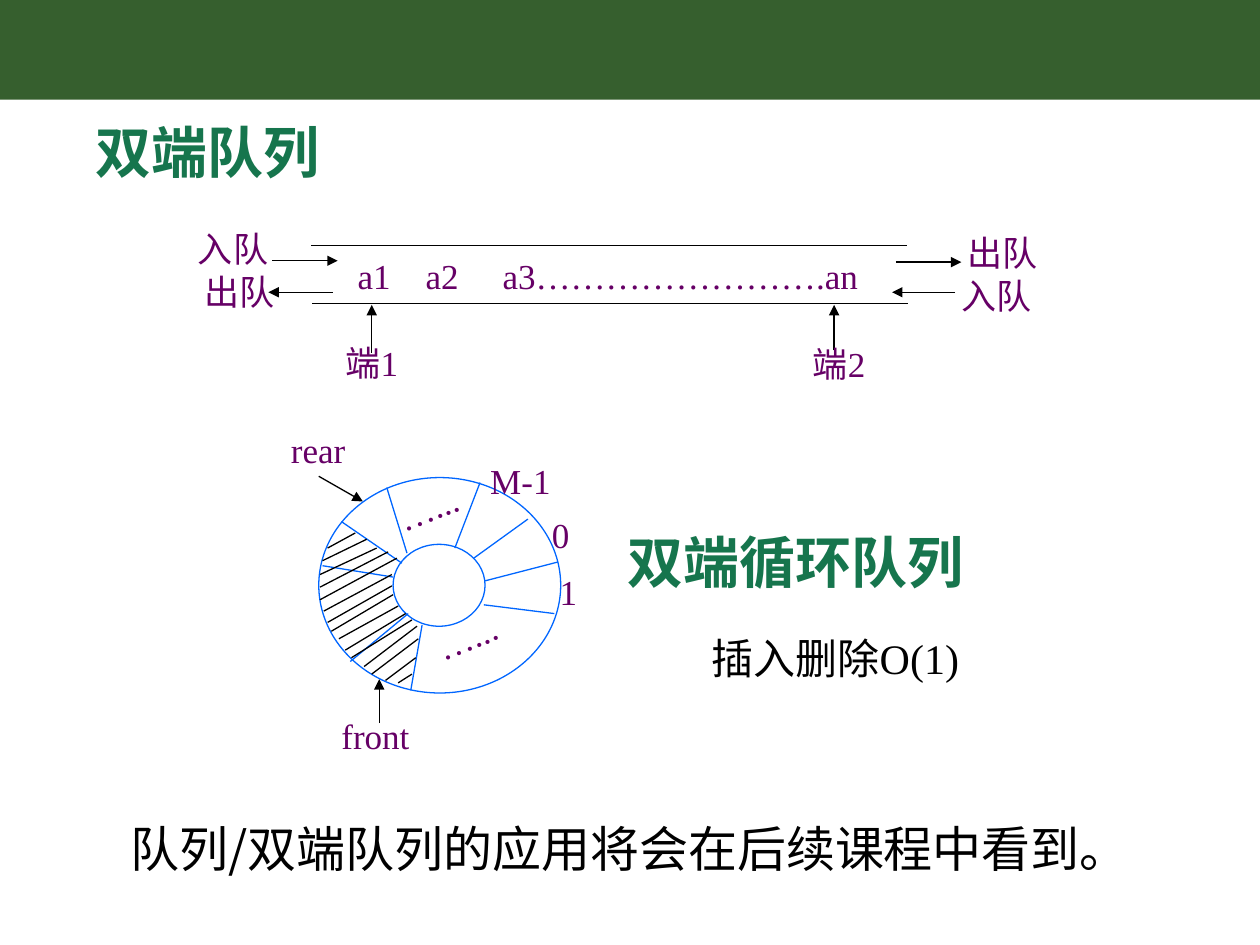
"""Build the slide on double-ended and circular double-ended queues."""
import pptx
import pptx.dml.color
import pptx.enum.shapes
import pptx.enum.text
import pptx.oxml.ns
import pptx.util
from pptx.util import Inches

RGBColor = pptx.dml.color.RGBColor
BAND_GREEN = RGBColor(0x36, 0x5F, 0x2E)
HEADING_GREEN = RGBColor(0x16, 0x75, 0x4D)
PURPLE = RGBColor(0x66, 0x00, 0x66)
BLUE = RGBColor(0x00, 0x66, 0xFF)
BLACK = RGBColor(0x00, 0x00, 0x00)
WHITE = RGBColor(0xFF, 0xFF, 0xFF)
SANS = "Noto Sans CJK SC"
SERIF = "Times New Roman"
SHAPES = pptx.enum.shapes.MSO_SHAPE
ALIGN = pptx.enum.text.PP_ALIGN
ANCHOR = pptx.enum.text.MSO_ANCHOR
AUTO_SIZE = pptx.enum.text.MSO_AUTO_SIZE
qn = pptx.oxml.ns.qn


def write(box, text, size, color, font=SERIF, bold=False, align=ALIGN.LEFT, anchor=ANCHOR.TOP, wrap=True):
    frame = box.text_frame
    frame.text = text
    frame.word_wrap = wrap
    frame.auto_size = AUTO_SIZE.NONE if wrap else AUTO_SIZE.SHAPE_TO_FIT_TEXT
    frame.vertical_anchor = anchor
    paragraph = frame.paragraphs[0]
    paragraph.alignment = align
    for run in paragraph.runs:
        run.font.size = pptx.util.Pt(size)
        run.font.name = font
        run.font.bold = bold
        run.font.color.rgb = color
        east_asian = run.font._element.makeelement(qn("a:ea"), {"typeface": SANS})
        run.font._element.find(qn("a:latin")).addnext(east_asian)


def draw_line(x1, y1, x2, y2, color=BLACK, arrow=False):
    line = slide.shapes.add_connector(
        pptx.enum.shapes.MSO_CONNECTOR.STRAIGHT, Inches(x1), Inches(y1), Inches(x2), Inches(y2))
    line.line.color.rgb = color
    line.line.width = pptx.util.Pt(0.75)
    properties = line._element.spPr
    if arrow:
        outline = line.line._get_or_add_ln()
        outline.append(outline.makeelement(qn("a:tailEnd"), {"type": "triangle"}))
    properties.append(properties.makeelement(qn("a:effectLst"), {}))


deck = pptx.Presentation()
deck.slide_width = Inches(10)
deck.slide_height = Inches(7.5)
slide = deck.slides.add_slide(deck.slide_layouts[5])

band = slide.shapes.add_shape(SHAPES.RECTANGLE, 0, 0, Inches(10), Inches(0.79))
band.shadow.inherit = False
band.fill.solid()
band.fill.fore_color.rgb = BAND_GREEN
band.line.fill.background()

deque_heading = slide.shapes.title
deque_heading.left, deque_heading.top = Inches(0.54), Inches(0.88)
deque_heading.width, deque_heading.height = Inches(3.07), Inches(0.74)
circular_heading = slide.shapes.add_textbox(Inches(4.76), Inches(4.14), Inches(4.12), Inches(0.74))
for heading, text in ((deque_heading, "双端队列"), (circular_heading, "双端循环队列")):
    write(heading, text, 32, HEADING_GREEN, SANS, bold=True)
    heading.text_frame.margin_left = Inches(0.22)

draw_line(2.47, 1.95, 7.2, 1.95)
draw_line(2.48, 2.41, 7.21, 2.41)
queue_items = slide.shapes.add_textbox(Inches(2.74), Inches(1.97), Inches(4.4), Inches(0.43))
write(queue_items, "a1\ta2\ta3…………………….an", 20, PURPLE, anchor=ANCHOR.MIDDLE)
item_properties = queue_items.text_frame.paragraphs[0]._p.get_or_add_pPr()
tab_stops = item_properties.makeelement(qn("a:tabLst"), {})
item_properties.append(tab_stops)
for position in (0.54, 1.15):
    tab_stops.append(tab_stops.makeelement(qn("a:tab"), {"pos": str(Inches(position)), "algn": "l"}))

arrows = [
    (2.95, 2.8, 2.95, 2.42), (6.62, 2.78, 6.62, 2.42),
    (7.58, 2.32, 7.08, 2.32), (7.11, 2.08, 7.63, 2.08),
    (2.64, 2.32, 2.13, 2.32), (2.16, 2.07, 2.68, 2.07),
    (3.01, 5.74, 3.01, 5.39), (2.53, 3.78, 2.88, 3.98),
]
for arrow_ends in arrows:
    draw_line(*arrow_ends, arrow=True)

rings = [(2.53, 3.79, 1.92, 1.71), (3.12, 4.32, 0.73, 0.65)]
for ring_bounds in rings:
    ring = slide.shapes.add_shape(SHAPES.OVAL, *map(Inches, ring_bounds))
    ring.shadow.inherit = False
    ring.fill.background()
    ring.line.color.rgb = BLUE
    ring.line.width = pptx.util.Pt(0.75)

cell_dividers = [
    (3.07, 3.87, 3.23, 4.39), (3.35, 4.96, 3.26, 5.48), (3.24, 4.87, 2.78, 5.25),
    (3.19, 4.47, 2.71, 4.14), (3.81, 3.83, 3.61, 4.35), (3.76, 4.43, 4.19, 4.12),
    (3.85, 4.61, 4.43, 4.46), (3.84, 4.8, 4.4, 4.87), (3.12, 4.58, 2.56, 4.49),
]
for divider in cell_dividers:
    draw_line(*divider, color=BLUE)

hatching = [
    (2.6, 4.35, 2.82, 4.23), (2.56, 4.45, 2.91, 4.28), (2.54, 4.56, 2.99, 4.35),
    (2.54, 4.66, 3.08, 4.38), (2.54, 4.76, 3.15, 4.43), (2.57, 4.85, 3.11, 4.56),
    (2.6, 4.94, 3.11, 4.65), (2.63, 5.01, 3.12, 4.72), (2.69, 5.07, 3.16, 4.81),
    (2.74, 5.16, 3.22, 4.87), (2.79, 5.22, 3.27, 4.92), (2.89, 5.29, 3.31, 4.97),
    (2.95, 5.35, 3.32, 5.07), (3.06, 5.4, 3.3, 5.22), (3.16, 5.42, 3.27, 5.35),
]
for stroke in hatching:
    draw_line(*stroke)

labels = [
    ("端1", 2.64, 2.66, 0.62, 0), ("端2", 6.35, 2.67, 0.62, 0),
    ("入队", 7.53, 2.13, 0.76, 0), ("出队", 7.58, 1.79, 0.76, 0),
    ("入队", 1.47, 1.76, 0.76, 0), ("出队", 1.52, 2.1, 0.76, 0),
    ("0", 4.28, 4.03, 0.34, 0), ("M-1", 3.79, 3.6, 0.68, 0), ("1", 4.34, 4.48, 0.34, 0),
    ("front", 2.61, 5.62, 0.74, 0), ("rear", 2.21, 3.35, 0.63, 0),
    ("…...", 3.05, 3.82, 0.69, 338.4), ("…...", 3.36, 4.84, 0.69, 338.4),
]
for text, left, top, width, rotation in labels:
    label = slide.shapes.add_textbox(Inches(left), Inches(top), Inches(width), Inches(0.43))
    label.rotation = rotation
    write(label, text, 20, PURPLE, align=ALIGN.CENTER, anchor=ANCHOR.MIDDLE, wrap=text.startswith("端"))

complexity = slide.shapes.add_textbox(Inches(5.55), Inches(4.97), Inches(2.68), Inches(0.5))
write(complexity, "插入删除O(1)", 24, BLACK)
closing_remark = slide.shapes.add_textbox(Inches(0.94), Inches(6.45), Inches(9), Inches(0.63))
write(closing_remark, "队列/双端队列的应用将会在后续课程中看到。", 28, BLACK, SANS)

deck.save("out.pptx")
